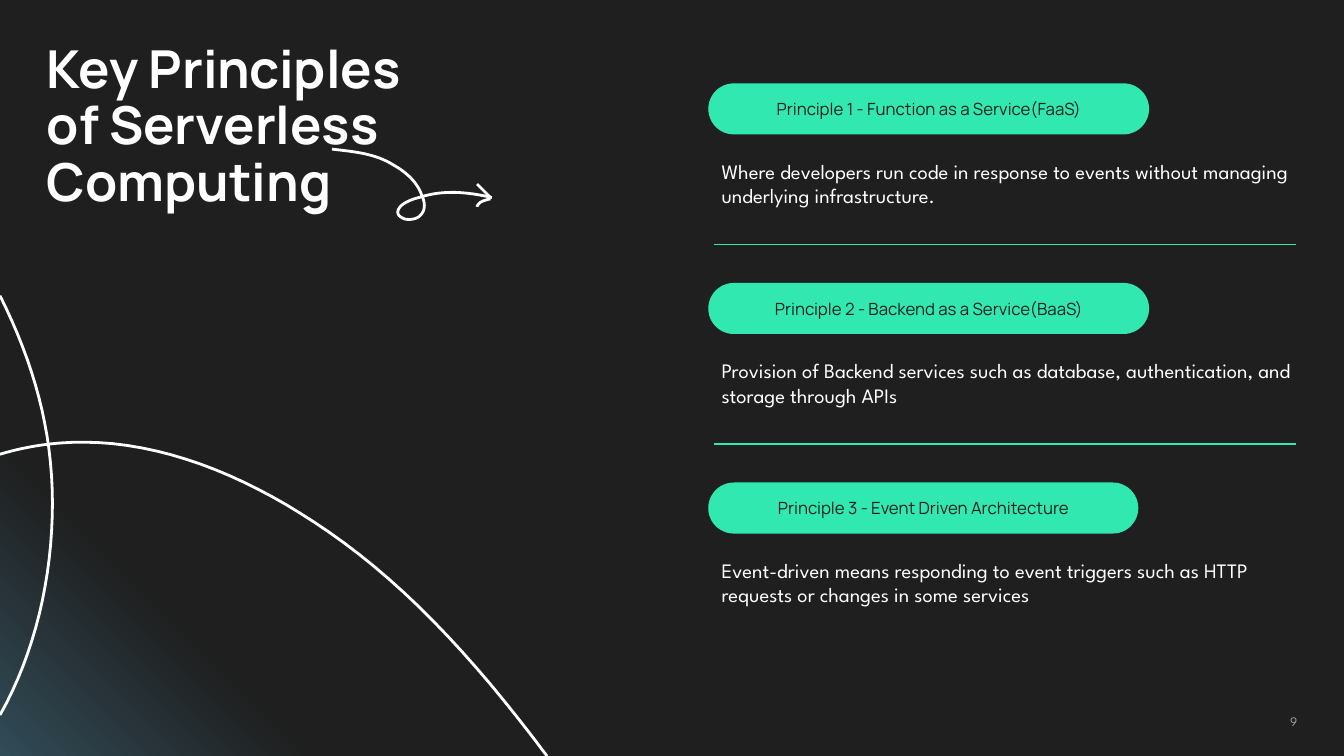
from lxml import etree
from pptx import Presentation
from pptx.dml.color import RGBColor
from pptx.enum import shapes, text
from pptx.oxml.ns import qn
from pptx.util import Inches, Pt

DARK = RGBColor(0x1F, 0x1F, 0x1F)
GLOW = RGBColor(0x31, 0x4B, 0x57)
GREEN = RGBColor(0x30, 0xE8, 0xB0)
WHITE = RGBColor(0xFF, 0xFF, 0xFF)
GREY = RGBColor(0x93, 0xA2, 0xA2)
HEAD, BODY = "Manrope", "League Spartan"
WIDTH = 10
HEIGHT = WIDTH * 9 / 16

# Content
TITLE = "Key Principles of Serverless Computing"
PAGE = "9"
PRINCIPLES = [  # label, pill width, description
    ("Principle 1 - Function as a Service(FaaS)", 3.28,
     "Where developers run code in response to events without managing underlying infrastructure."),
    ("Principle 2 - Backend as a Service(BaaS)", 3.28,
     "Provision of Backend services such as database, authentication, and storage through APIs"),
    ("Principle 3 - Event Driven Architecture", 3.2,
     "Event-driven means responding to event triggers such as HTTP requests or changes in some services"),
]

# Curves: a start point, then Bezier segments (control, control, end)
CURVES = [
    # Left arc
    [(0, 2.2), ((0.25, 2.7), (0.39, 3.2), (0.39, 3.74)),
     ((0.39, 4.3), (0.26, 4.86), (0, 5.32))],
    # Wide arc
    [(0, 3.38), ((0.2, 3.32), (0.4, 3.29), (0.62, 3.29)),
     ((1.2, 3.29), (1.8, 3.53), (2.33, 3.88)),
     ((2.95, 4.28), (3.5, 4.86), (4.07, HEIGHT))],
    # Looped arrow shaft
    [(2.47, 1.11), ((2.63, 1.13), (2.79, 1.14), (2.93, 1.23)),
     ((3.02, 1.28), (3.11, 1.36), (3.14, 1.46)),
     ((3.16, 1.5), (3.17, 1.56), (3.13, 1.6)),
     ((3.11, 1.63), (3.05, 1.64), (3.01, 1.63)),
     ((2.99, 1.62), (2.96, 1.61), (2.96, 1.58)),
     ((2.96, 1.52), (3.07, 1.48), (3.12, 1.47)),
     ((3.3, 1.41), (3.48, 1.43), (3.66, 1.47))],
    # Arrow tip, lower and upper barbs
    [(3.65, 1.48), ((3.61, 1.49), (3.56, 1.5), (3.55, 1.54))],
    [(3.65, 1.47), ((3.62, 1.44), (3.59, 1.41), (3.55, 1.37))],
]

LEFT, TOP, PITCH = 5.27, 0.62, 2.97 / 2
STEPS = 16

prs = Presentation()
prs.slide_width, prs.slide_height = Inches(WIDTH), Inches(HEIGHT)
s = prs.slides.add_slide(prs.slide_layouts[6])
s.background.fill.solid()
s.background.fill.fore_color.rgb = DARK


def set_text(sp, content, font, size, color, align=text.PP_ALIGN.LEFT,
             anchor=text.MSO_ANCHOR.TOP):
    tf = sp.text_frame
    tf.word_wrap = True
    tf.vertical_anchor = anchor
    tf.margin_left = tf.margin_right = tf.margin_top = tf.margin_bottom = Inches(0.1)
    p = tf.paragraphs[0]
    p.text = content
    p.alignment = align
    p.font.name, p.font.size, p.font.color.rgb = font, Pt(size), color
    return p


def add_text(box, *args, **kwargs):
    return set_text(s.shapes.add_textbox(*map(Inches, box)), *args, **kwargs)


def add_freeform(points, close):
    start, *rest = [(Inches(x), Inches(y)) for x, y in points]
    b = s.shapes.build_freeform(*start)
    b.add_line_segments(rest, close=close)
    sp = b.convert_to_shape()
    sp.shadow.inherit = False
    return sp


def sample(curve):
    points = [curve[0]]
    for c1, c2, end in curve[1:]:
        start = points[-1]
        for i in range(1, STEPS + 1):
            t = i / STEPS
            v = 1 - t
            points.append(tuple(
                v**3 * a + 3 * v * v * t * b + 3 * v * t * t * c + t**3 * d
                for a, b, c, d in zip(start, c1, c2, end)))
    return points


# Corner glow
glow = add_freeform([(0, HEIGHT - 2.35), (2.35, HEIGHT), (0, HEIGHT)], True)
glow.line.fill.background()
glow.fill.gradient()
glow.fill.gradient_angle = 45
for stop, color, position in zip(glow.fill.gradient_stops, (GLOW, DARK), (0, 0.5)):
    stop.color.rgb, stop.position = color, position

# Page number
add_text((7.35, 5.25, 2.4, 0.32), PAGE, BODY, 7, GREY, text.PP_ALIGN.RIGHT)

# Arcs and looped arrow
for curve in CURVES:
    sp = add_freeform(sample(curve), False)
    sp.fill.background()
    sp.line.color.rgb, sp.line.width = WHITE, Pt(1.5)

# Principles, with a rule between neighbours
for i, (label, width, description) in enumerate(PRINCIPLES):
    y = TOP + i * PITCH
    pill = s.shapes.add_shape(shapes.MSO_SHAPE.ROUNDED_RECTANGLE,
                              *map(Inches, (LEFT, y, width, 0.38)))
    pill.adjustments[0] = 0.5
    pill.shadow.inherit = False
    pill.fill.solid()
    pill.fill.fore_color.rgb = GREEN
    pill.line.fill.background()
    set_text(pill, label, HEAD, 9, DARK, text.PP_ALIGN.CENTER, text.MSO_ANCHOR.MIDDLE)
    add_text((LEFT, y + 0.46, 4.48, 0.64), description, BODY, 11, WHITE)
    if i < len(PRINCIPLES) - 1:
        rule = s.shapes.add_connector(shapes.MSO_CONNECTOR.STRAIGHT,
                                      *map(Inches, (5.31, y + 1.2, 9.64, y + 1.2)))
        rule.line.color.rgb, rule.line.width = GREEN, Pt(0.75)
        etree.SubElement(rule._element.spPr, qn("a:effectLst"))

# Title
p = add_text((0.25, 0.22, 3.2, 1.47), TITLE, HEAD, 28, WHITE)
p.font.bold = True
p.line_spacing = 0.9

prs.save("out.pptx")
